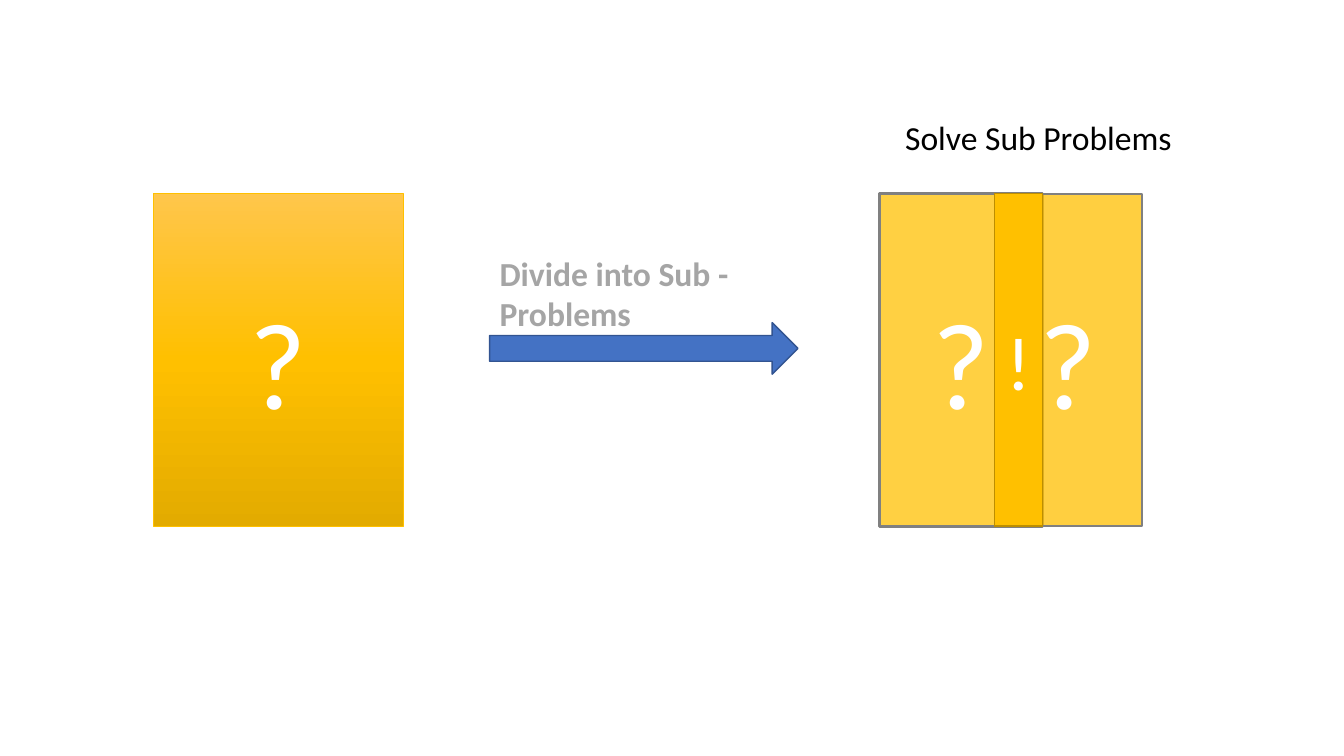
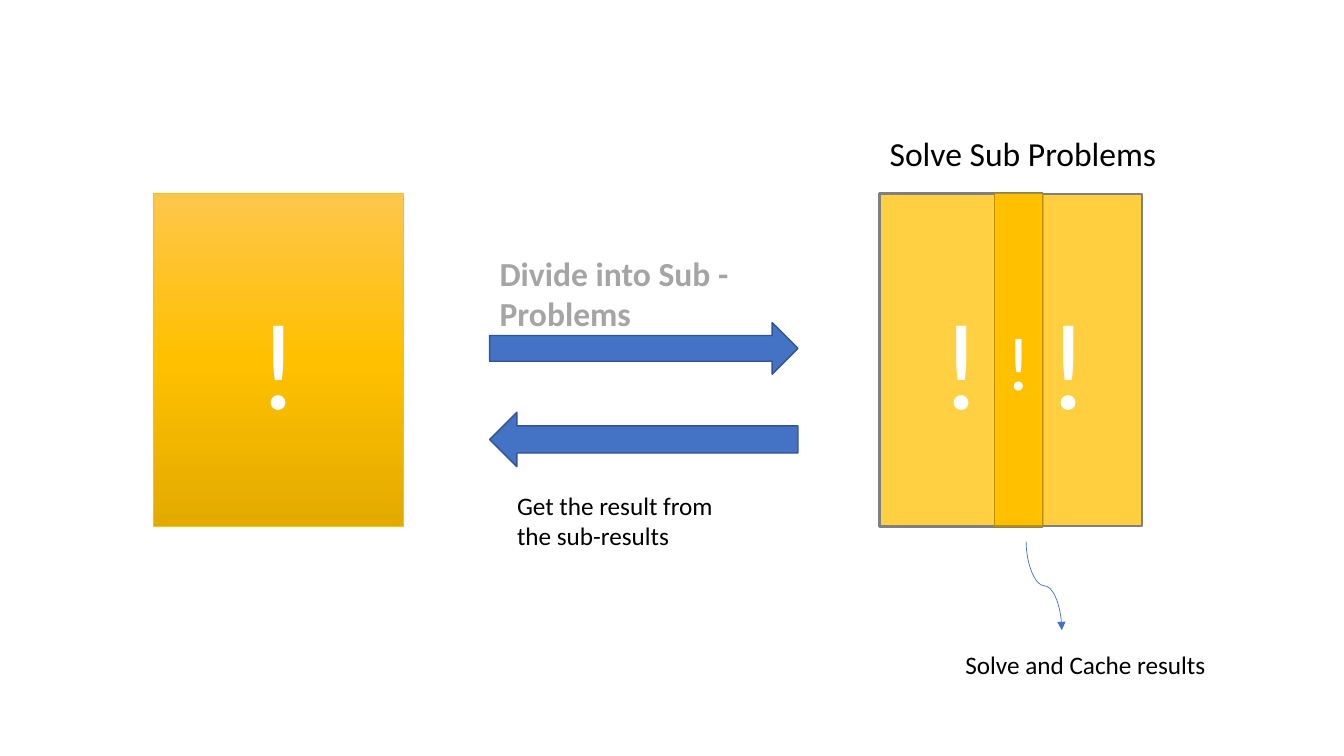
from copy import deepcopy
from dataclasses import dataclass

from lxml import etree
from pptx import Presentation
from pptx.dml.color import RGBColor
from pptx.enum.shapes import MSO_CONNECTOR, MSO_SHAPE
from pptx.enum.text import MSO_ANCHOR, MSO_AUTO_SIZE, PP_ALIGN
from pptx.oxml.ns import qn
from pptx.shapes.autoshape import Shape
from pptx.slide import Slide
from pptx.util import Cm, Pt

RECTANGLE = MSO_SHAPE.RECTANGLE
RIGHT_ARROW = MSO_SHAPE.RIGHT_ARROW
LEFT_ARROW = MSO_SHAPE.LEFT_ARROW
CURVE = MSO_CONNECTOR.CURVE
MIDDLE = MSO_ANCHOR.MIDDLE
CENTER = PP_ALIGN.CENTER
GROW = MSO_AUTO_SIZE.SHAPE_TO_FIT_TEXT

FONT = "Calibri"
WHITE = RGBColor(0xFF, 0xFF, 0xFF)
BLACK = RGBColor(0x00, 0x00, 0x00)
GRAY = RGBColor(0xA5, 0xA5, 0xA5)
OUTLINE_GRAY = RGBColor(0x80, 0x80, 0x80)
GOLD = RGBColor(0xFF, 0xC0, 0x00)
LIGHT_GOLD = RGBColor(0xFF, 0xC6, 0x4B)
DARK_GOLD = RGBColor(0xE3, 0xAB, 0x00)
OUTLINE_GOLD = RGBColor(0xBD, 0x8E, 0x00)
BLUE = RGBColor(0x44, 0x72, 0xC4)
OUTLINE_BLUE = RGBColor(0x32, 0x54, 0x91)

# Shared layout, in centimetres
BOX_TOP, BOX_HEIGHT = 4.88, 8.38
ARROW_LEFT, ARROW_WIDTH = 12.34, 7.77
FIRST_LEFT, FIRST_WIDTH = 22.17, 4.11
SECOND_LEFT, SECOND_WIDTH = 25.07, 3.71
OVERLAP_WIDTH = FIRST_LEFT + FIRST_WIDTH - SECOND_LEFT


@dataclass(frozen=True)
class Box:
    """A problem or sub-problem, as high as all the others."""
    left: float
    width: float
    outline: RGBColor
    outline_width: float
    mark_size: int = 88
    opacity: int = 100


@dataclass(frozen=True)
class Label:
    text: str
    left: float
    top: float
    width: float
    height: float
    size: int
    color: RGBColor = BLACK
    bold: bool = False


PROBLEM = Box(3.86, 6.3, GOLD, 0.5)
SUB_PROBLEMS = (
    Box(FIRST_LEFT, FIRST_WIDTH, OUTLINE_GRAY, 2.25, opacity=74),
    Box(SECOND_LEFT, SECOND_WIDTH, OUTLINE_GRAY, 1.5, opacity=75),
)
OVERLAP = Box(SECOND_LEFT, OVERLAP_WIDTH, OUTLINE_GOLD, 1, mark_size=54)

DIVIDE = Label("Divide into Sub - Problems", ARROW_LEFT, 6.25, 6.53, 2.31, 24, GRAY, True)
COMBINE = Label("Get the result from the sub-results", 12.78, 12.22, 6.1, 1.8, 18)
CACHE = Label("Solve and Cache results", 24.08, 16.23, 6.76, 1.02, 18)


def add_filled_shape(slide: Slide, preset: MSO_SHAPE, left: float, top: float,
                     width: float, height: float, fill: RGBColor,
                     outline: RGBColor, outline_width: float) -> Shape:
    shape = slide.shapes.add_shape(preset, Cm(left), Cm(top), Cm(width), Cm(height))
    shape.shadow.inherit = False
    shape.fill.solid()
    shape.fill.fore_color.rgb = fill
    shape.line.color.rgb = outline
    shape.line.width = Pt(outline_width)
    return shape


def add_box(slide: Slide, box: Box, mark: str) -> Shape:
    shape = add_filled_shape(slide, RECTANGLE, box.left, BOX_TOP, box.width, BOX_HEIGHT,
                             GOLD, box.outline, box.outline_width)
    if box.opacity < 100:
        color = shape.element.spPr.find(qn("a:solidFill")).find(qn("a:srgbClr"))
        etree.SubElement(color, qn("a:alpha")).set("val", str(box.opacity * 1000))
    frame = shape.text_frame
    frame.vertical_anchor = MIDDLE
    paragraph = frame.paragraphs[0]
    paragraph.text = mark
    paragraph.alignment = CENTER
    paragraph.font.name = FONT
    paragraph.font.size = Pt(box.mark_size)
    paragraph.font.color.rgb = WHITE
    return shape


def shade(shape: Shape) -> None:
    """Fill from light gold at the top to dark gold at the bottom."""
    shape.fill.gradient()
    shape.fill.gradient_angle = 270
    stops = shape.element.spPr.find(qn("a:gradFill")).find(qn("a:gsLst"))
    stops.append(deepcopy(stops[0]))
    shades = ((0, LIGHT_GOLD), (0.5, GOLD), (1, DARK_GOLD))
    for stop, (position, color) in zip(shape.fill.gradient_stops, shades):
        stop.position = position
        stop.color.rgb = color


def add_label(slide: Slide, label: Label) -> None:
    frame = slide.shapes.add_textbox(Cm(label.left), Cm(label.top),
                                     Cm(label.width), Cm(label.height)).text_frame
    frame.word_wrap = True
    frame.auto_size = GROW
    paragraph = frame.paragraphs[0]
    paragraph.text = label.text
    paragraph.font.name = FONT
    paragraph.font.size = Pt(label.size)
    paragraph.font.bold = label.bold
    paragraph.font.color.rgb = label.color


def add_block_arrow(slide: Slide, preset: MSO_SHAPE, top: float, height: float) -> None:
    add_filled_shape(slide, preset, ARROW_LEFT, top, ARROW_WIDTH, height,
                     BLUE, OUTLINE_BLUE, 1)


def add_falling_curve(slide: Slide, center_x: float, center_y: float,
                      drop: float, shift: float) -> None:
    """Draw a curve lying flat, then turn it so that it leaves and arrives upright."""
    curve = slide.shapes.add_connector(
        CURVE, Cm(center_x + drop / 2), Cm(center_y - shift / 2),
        Cm(center_x - drop / 2), Cm(center_y + shift / 2))
    curve.line.color.rgb = BLUE
    curve.line.width = Pt(0.5)
    properties = curve.element.spPr
    properties.find(qn("a:xfrm")).set("rot", str(270 * 60000))
    etree.SubElement(properties.find(qn("a:ln")), qn("a:tailEnd")).set("type", "triangle")
    etree.SubElement(properties, qn("a:effectLst"))


def add_division(slide: Slide, mark: str, heading_left: float, heading_top: float) -> None:
    """Draw the problem, its division and the overlapping sub-problems."""
    shade(add_box(slide, PROBLEM, mark))
    add_block_arrow(slide, RIGHT_ARROW, 8.13, 1.3)
    add_label(slide, DIVIDE)
    for sub_problem in SUB_PROBLEMS:
        add_box(slide, sub_problem, mark)
    add_label(slide, Label("Solve Sub Problems", heading_left, heading_top, 8.71, 1.27, 24))
    add_box(slide, OVERLAP, "!")


def main() -> None:
    deck = Presentation()
    deck.slide_width, deck.slide_height = Cm(33.87), Cm(19.05)
    blank = deck.slide_layouts[6]

    # Open problem: only the overlap is solved
    add_division(deck.slides.add_slide(blank), "?", 22.56, 2.82)

    # Solved problem: results are cached and combined
    solved = deck.slides.add_slide(blank)
    add_division(solved, "!", FIRST_LEFT, 3.23)
    add_falling_curve(solved, 26.31, 14.76, drop=2.24, shift=0.9)
    add_label(solved, CACHE)
    add_block_arrow(solved, LEFT_ARROW, 10.39, 1.37)
    add_label(solved, COMBINE)

    deck.save("out.pptx")


if __name__ == "__main__":
    main()
